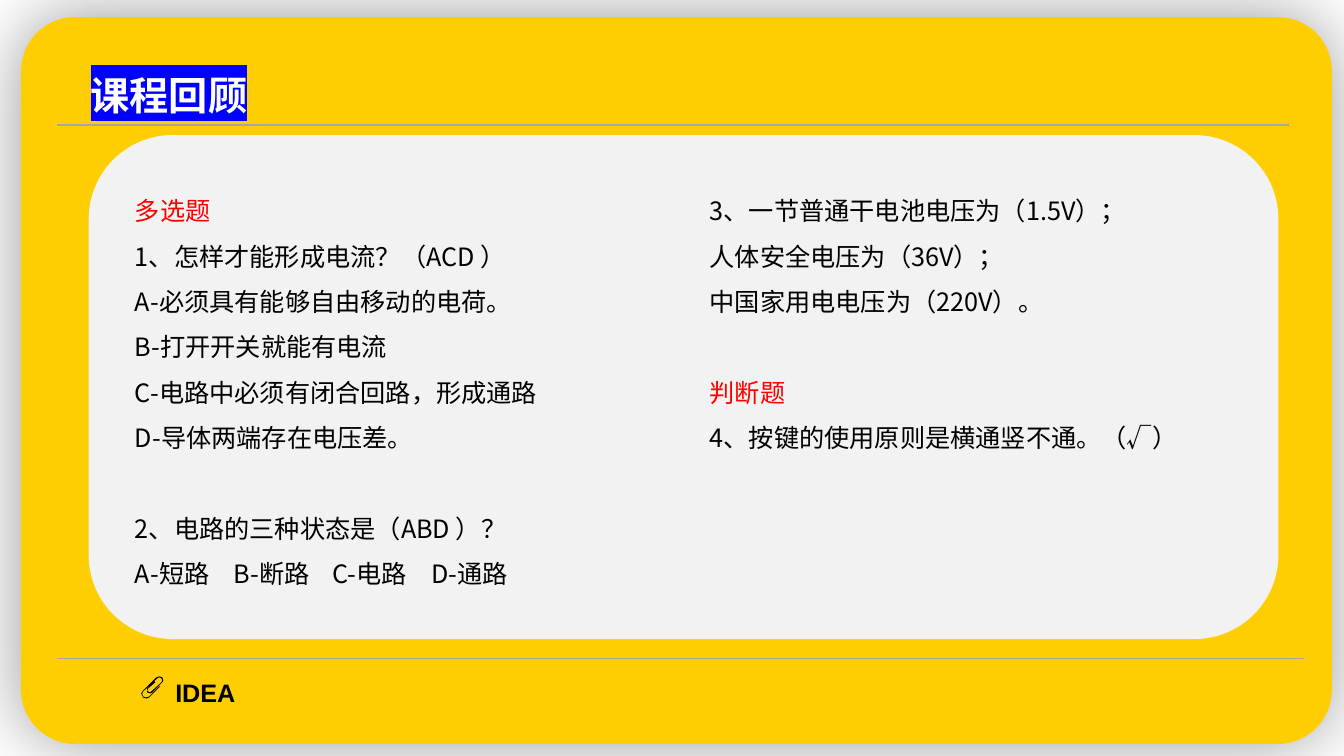
from lxml import etree
from pptx import Presentation
from pptx import util as u
from pptx.dml.color import RGBColor
from pptx.enum import shapes, text
from pptx.oxml import ns

PX = 9144  # 100 px to the inch
CJK, LATIN = "Noto Sans CJK SC", "Arial"
COLORS = {
    "card": "FECE02", "panel": "F2F2F2", "rule": "A6A6A6", "black": "000000",
    "white": "FFFFFF", "red": "FF0000", "blue": "0000FF",
}
BLANK_LINE = 32.5  # points
TAB_STEP = 98

TITLE = "课程回顾"
FOOTER = "IDEA"
# Each line: wording, colour, whether a gap precedes it
LEFT_COLUMN = [
    ("多选题", "red", False),
    ("1、怎样才能形成电流？（ACD ）", "black", False),
    ("A-必须具有能够自由移动的电荷。", "black", False),
    ("B-打开开关就能有电流", "black", False),
    ("C-电路中必须有闭合回路，形成通路", "black", False),
    ("D-导体两端存在电压差。", "black", False),
    ("2、电路的三种状态是（ABD ）？", "black", True),
    ("A-短路\tB-断路\tC-电路\tD-通路", "black", False),
]
RIGHT_COLUMN = [
    ("3、一节普通干电池电压为（1.5V）；", "black", False),
    ("人体安全电压为（36V）；", "black", False),
    ("中国家用电电压为（220V）。", "black", False),
    ("判断题", "red", True),
    ("4、按键的使用原则是横通竖不通。（√）", "black", False),
]
RULES = [(57, 124, 1278), (57, 653, 1293)]  # left, y, right
PAPERCLIP = [
    (142, 692), (140, 688), (142, 685), (155, 672), (158, 671), (161, 672),
    (162, 675), (161, 677), (151, 687), (149, 688), (146, 687), (146, 685),
    (146, 683), (153, 676), (154, 676), (154, 677), (147, 683), (146, 685),
    (147, 686), (149, 687), (150, 686), (160, 677), (161, 675), (160, 673),
    (158, 672), (156, 673), (142, 686), (141, 688), (142, 691), (145, 692),
    (148, 691), (158, 681), (159, 681), (159, 681), (148, 692), (145, 693),
]


def color(name):
    return RGBColor.from_string(COLORS[name])


def add_element(parent, tag, **attributes):
    return etree.SubElement(parent, ns.qn(tag), attributes)


def paint(shape, fill):
    shape.shadow.inherit = False
    shape.fill.solid()
    shape.fill.fore_color.rgb = color(fill)
    shape.line.fill.background()


def add_block(slide, kind, box, fill, adjustment=None):
    shape = slide.shapes.add_shape(kind, *(value * PX for value in box))
    paint(shape, fill)
    if adjustment is not None:
        shape.adjustments[0] = adjustment
    return shape


def add_glow(shape):
    """Give the shape a soft shadow on all sides."""
    effects = shape._element.spPr.find(ns.qn("a:effectLst"))
    shadow = add_element(effects, "a:outerShdw", blurRad=str(u.Pt(55)),
                         dist="0", dir="0", algn="ctr", rotWithShape="0")
    tint = add_element(shadow, "a:srgbClr", val=COLORS["black"])
    add_element(tint, "a:alpha", val="40000")


def add_rule(slide, left, y, right):
    line = slide.shapes.add_connector(
        shapes.MSO_CONNECTOR.STRAIGHT, left * PX, y * PX, right * PX, y * PX)
    line.line.color.rgb = color("rule")
    line.line.width = u.Pt(1)
    add_element(line._element.spPr, "a:effectLst")


def add_tabs(paragraph, count):
    tabs = add_element(paragraph._p.get_or_add_pPr(), "a:tabLst")
    for index in range(1, count + 1):
        add_element(tabs, "a:tab", pos=str(index * TAB_STEP * PX), algn="l")


def add_text(slide, box, lines, size=18, font=CJK, bold=False, highlight=None):
    textbox = slide.shapes.add_textbox(*(value * PX for value in box))
    frame = textbox.text_frame
    frame.word_wrap = True
    frame.auto_size = text.MSO_AUTO_SIZE.SHAPE_TO_FIT_TEXT
    for index, (wording, ink, gap) in enumerate(lines):
        paragraph = frame.add_paragraph() if index else frame.paragraphs[0]
        if "\t" in wording:
            add_tabs(paragraph, wording.count("\t"))
        paragraph.line_spacing = 1.5
        if gap:
            paragraph.space_before = u.Pt(BLANK_LINE)
        run = paragraph.add_run()
        run.text = wording
        run.font.size = u.Pt(size)
        run.font.bold = bold
        run.font.color.rgb = color(ink)
        properties = run.font._element
        if highlight:
            marker = add_element(properties, "a:highlight")
            add_element(marker, "a:srgbClr", val=COLORS[highlight])
        run.font.name = font
        add_element(properties, "a:ea", typeface=font)
    return frame


def main():
    presentation = Presentation()
    presentation.slide_width = 1333 * PX
    presentation.slide_height = 750 * PX
    slide = presentation.slides.add_slide(presentation.slide_layouts[6])
    rounded = shapes.MSO_SHAPE.ROUNDED_RECTANGLE

    add_glow(add_block(slide, rounded, (21, 17, 1300, 721), "card", 0.074))
    for rule in RULES:
        add_rule(slide, *rule)
    add_text(slide, (80, 42, 336, 81), [(TITLE, "white", False)],
             size=28, bold=True, highlight="blue")

    builder = slide.shapes.build_freeform(*PAPERCLIP[0], scale=PX)
    builder.add_line_segments(PAPERCLIP[1:], close=True)
    paint(builder.convert_to_shape(), "black")
    footer = add_text(slide, (164, 652, 93, 55), [(FOOTER, "black", False)],
                      font=LATIN, bold=True)
    footer.paragraphs[0].alignment = text.PP_ALIGN.JUSTIFY

    add_block(slide, rounded, (88, 134, 1180, 500), "panel")
    pointer = add_block(slide, shapes.MSO_SHAPE.ISOSCELES_TRIANGLE,
                        (92, 541, 87, 77), "panel", 0.48)
    pointer.rotation = 229.6
    add_text(slide, (124, 174, 541, 464), LEFT_COLUMN)
    add_text(slide, (694, 174, 573, 373), RIGHT_COLUMN)
    presentation.save("out.pptx")


if __name__ == "__main__":
    main()
